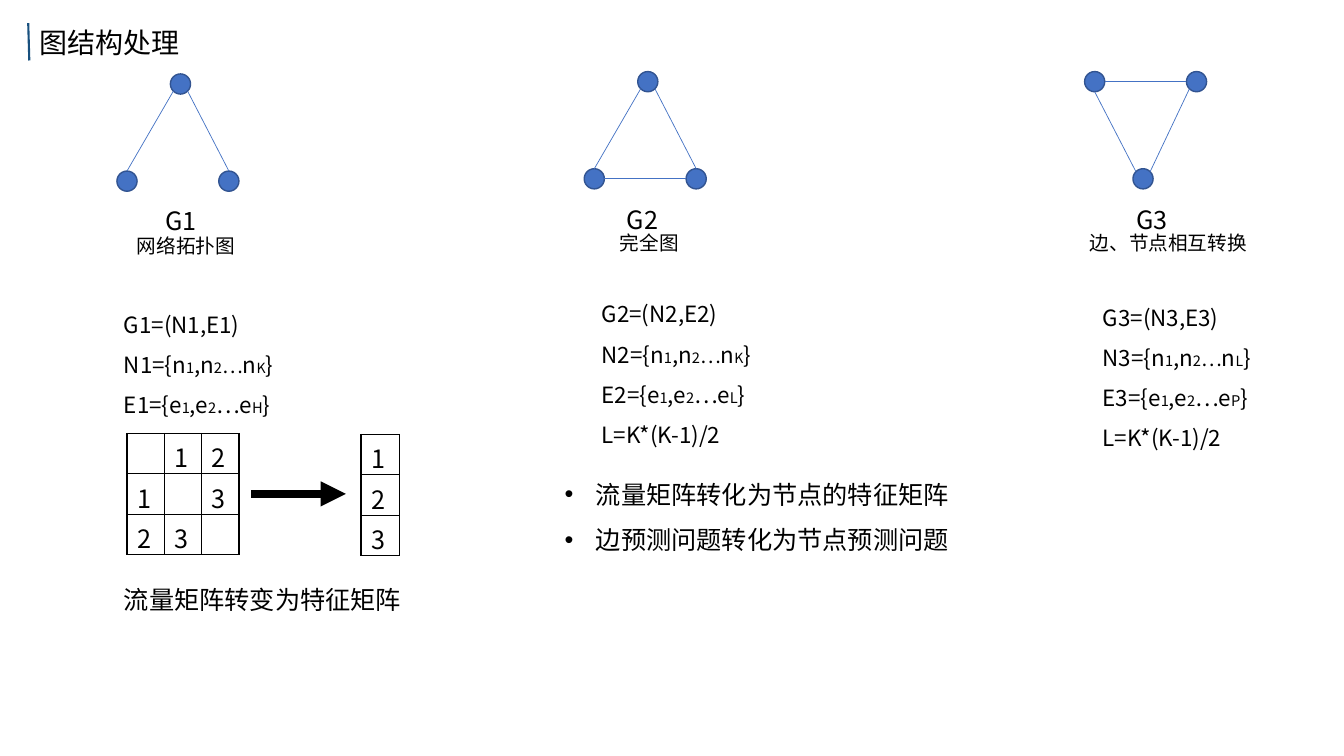
"""Builds a slide on turning network graphs into node features."""
import math

import lxml.etree
import pptx
import pptx.dml.color
import pptx.enum.shapes
import pptx.enum.text
import pptx.oxml
import pptx.oxml.ns
import pptx.util

WIDTH = pptx.util.Inches(13.33)
HEIGHT = pptx.util.Inches(7.5)
FONT = "Noto Sans CJK SC"
BLACK, WHITE, BLUE = "000000", "FFFFFF", "4472C4"
NODE_WIDTH, NODE_HEIGHT = 1.5, 2.67
TRIANGLE = [(0, 0), (-3.98, 12.85), (3.6, 12.85)]


def across(share):
    """Turn a percentage of the slide's width into a length."""
    return round(WIDTH * share / 100)


def down(share):
    """Turn a percentage of the slide's height into a length."""
    return round(HEIGHT * share / 100)


def area(left, top, width, height):
    """Turn four percentages into a position and a size."""
    return across(left), down(top), across(width), down(height)


def colour(value):
    """Turn a hex string into a colour."""
    return pptx.dml.color.RGBColor.from_string(value)


def add_element(parent, tag, **attributes):
    """Append a drawing element with its attributes."""
    return lxml.etree.SubElement(parent, pptx.oxml.ns.qn(tag), attributes)


def fill_text(frame, lines, size=18, spacing=None, bullet=False):
    """Write lines, each a string or a list of (text, size) spans."""
    for index, line in enumerate(lines):
        para = frame.paragraphs[0] if index == 0 else frame.add_paragraph()
        para.alignment = pptx.enum.text.PP_ALIGN.LEFT
        para.space_before = pptx.util.Pt(0)
        if spacing:
            para.line_spacing = spacing
        if bullet:
            properties = para._p.get_or_add_pPr()
            indent = pptx.util.Inches(0.31)
            properties.set("marL", str(indent))
            properties.set("indent", str(-indent))
            add_element(properties, "a:buFont", typeface="Arial")
            add_element(properties, "a:buChar", char="•")
        for text, points in [(line, size)] if isinstance(line, str) else line:
            span = para.add_run()
            span.text = text
            span.font.size = pptx.util.Pt(points)
            span.font.color.rgb = colour(BLACK)
            span.font.name = FONT
            add_element(span._r.get_or_add_rPr(), "a:ea", typeface=FONT)


def place_text(box, position, lines, **style):
    """Move a text shape into position and write its lines."""
    box.left, box.top, box.width, box.height = area(*position)
    frame = box.text_frame
    frame.word_wrap = True
    frame.auto_size = pptx.enum.text.MSO_AUTO_SIZE.SHAPE_TO_FIT_TEXT
    frame.vertical_anchor = pptx.enum.text.MSO_ANCHOR.TOP
    fill_text(frame, lines, **style)


def add_text(page, position, lines, **style):
    """Add a text box."""
    place_text(page.shapes.add_textbox(0, 0, 0, 0), position, lines, **style)


def add_line(page, start, end, line_colour, points, arrow=False):
    """Add a straight line between two points, with an optional arrowhead."""
    line = page.shapes.add_connector(
        pptx.enum.shapes.MSO_CONNECTOR.STRAIGHT,
        across(start[0]), down(start[1]), across(end[0]), down(end[1]))
    line.line.color.rgb = colour(line_colour)
    line.line.width = pptx.util.Pt(points)
    if arrow:
        add_element(line.line._get_or_add_ln(), "a:tailEnd", type="triangle")
    add_element(line._element.spPr, "a:effectLst")


def rim_point(centre, site):
    """Find a point on a node's rim, counted in eighths from the top leftwards."""
    angle = site * math.pi / 4
    return (centre[0] - math.sin(angle) * NODE_WIDTH / 2,
            centre[1] - math.cos(angle) * NODE_HEIGHT / 2)


def add_graph(page, apex, edges, turn=1):
    """Draw a three-node graph; edges are (node, site, node, site)."""
    nodes = [(apex[0] + turn * x, apex[1] + turn * y) for x, y in TRIANGLE]
    for x, y in nodes:
        node = page.shapes.add_shape(
            pptx.enum.shapes.MSO_SHAPE.OVAL,
            *area(x - NODE_WIDTH / 2, y - NODE_HEIGHT / 2, NODE_WIDTH, NODE_HEIGHT))
        node.shadow.inherit = False
        node.fill.solid()
        node.fill.fore_color.rgb = colour(BLUE)
        node.line.color.rgb = colour("325491")
        node.line.width = pptx.util.Pt(1)
    for first, first_site, second, second_site in edges:
        add_line(page, rim_point(nodes[first], first_site),
                 rim_point(nodes[second], second_site), BLUE, 0.5)


def member_set(name, item, last, dots_size, last_size):
    """Write a set such as N1={n1,n2…nK} as spans with small indices."""
    return [(f"{name}={{{item}", 16), ("1", 10.5), (f",{item}", 16), ("2", 10.5),
            ("…", dots_size), (item, 16), (last, last_size), ("}", 16)]


def add_definition(page, position, number, last_node, last_edge, count=None):
    """Write the definition of a graph with its node and edge sets."""
    lines = [f"G{number}=(N{number},E{number})",
             member_set(f"N{number}", "n", last_node, 14, 10),
             member_set(f"E{number}", "e", last_edge, 16, 10.5)]
    add_text(page, position, lines + ([count] if count else []), size=16, spacing=1.5)


def add_matrix(page, position, rows):
    """Add a bordered table of values."""
    grid = page.shapes.add_table(len(rows), len(rows[0]), *area(*position)).table
    grid.first_row = grid.horz_banding = False
    for row, values in enumerate(rows):
        for column, value in enumerate(values):
            cell = grid.cell(row, column)
            fill_text(cell.text_frame, [value] if value else [])
            properties = cell._tc.get_or_add_tcPr()
            for side in ("a:lnL", "a:lnR", "a:lnT", "a:lnB"):
                border = add_element(properties, side, w=str(pptx.util.Pt(1)))
                add_element(add_element(border, "a:solidFill"), "a:srgbClr", val=BLACK)
            cell.fill.solid()
            cell.fill.fore_color.rgb = colour(WHITE)


def main():
    """Build and save the slide."""
    deck = pptx.Presentation()
    deck.slide_width, deck.slide_height = WIDTH, HEIGHT
    page = deck.slides.add_slide(deck.slide_layouts[1])

    place_text(page.shapes.title, (2.18, 2.67, 33.3, 5.87), ["图结构处理"], size=20)
    add_line(page, (2.1, 3.07), (2.18, 8), "18507E", 1.5)

    sides = [(0, 3, 1, 0), (0, 5, 2, 0)]
    add_graph(page, (13.43, 11.11), sides)
    add_graph(page, (48.2, 10.8), sides + [(1, 6, 2, 2)])
    add_graph(page, (85.05, 23.65), [(2, 4, 0, 1), (1, 3, 0, 7), (2, 6, 1, 2)], turn=-1)

    for left, top, name in [(11.55, 26.53, "G1"), (45.91, 26.4, "G2"), (83.8, 26.4, "G3")]:
        add_text(page, (left, top, 7.58, 5.33), [name])
    for left, top, width, caption in [(9.45, 30.27, 12.38, "网络拓扑图"),
                                      (45.39, 29.87, 12.38, "完全图"),
                                      (80.35, 29.87, 16.73, "边、节点相互转换")]:
        add_text(page, (left, top, width, 4.53), [caption], size=14)

    pair_count = "L=K*(K-1)/2"
    add_definition(page, (8.48, 38.67, 15.45, 16.93), 1, "K", "H")
    add_definition(page, (44.04, 37.33, 15.45, 22.4), 2, "K", "L", pair_count)
    add_definition(page, (81.32, 37.73, 15.45, 22.4), 3, "L", "P", pair_count)

    add_matrix(page, (9.45, 57.33, 8.33, 16),
               [["", "1", "2"], ["1", "", "3"], ["2", "3", ""]])
    add_line(page, (18.68, 65.33), (25.73, 65.33), BLACK, 6, arrow=True)
    add_matrix(page, (26.86, 57.47, 2.85, 16), [["1"], ["2"], ["3"]])
    add_text(page, (8.48, 76.67, 24.31, 5.33), ["流量矩阵转变为特征矩阵"])

    place_text(page.placeholders[1], (41.26, 60.67, 33.01, 12.8),
               ["流量矩阵转化为节点的特征矩阵", "边预测问题转化为节点预测问题"],
               spacing=1.5, bullet=True)
    deck.save("out.pptx")


if __name__ == "__main__":
    main()
